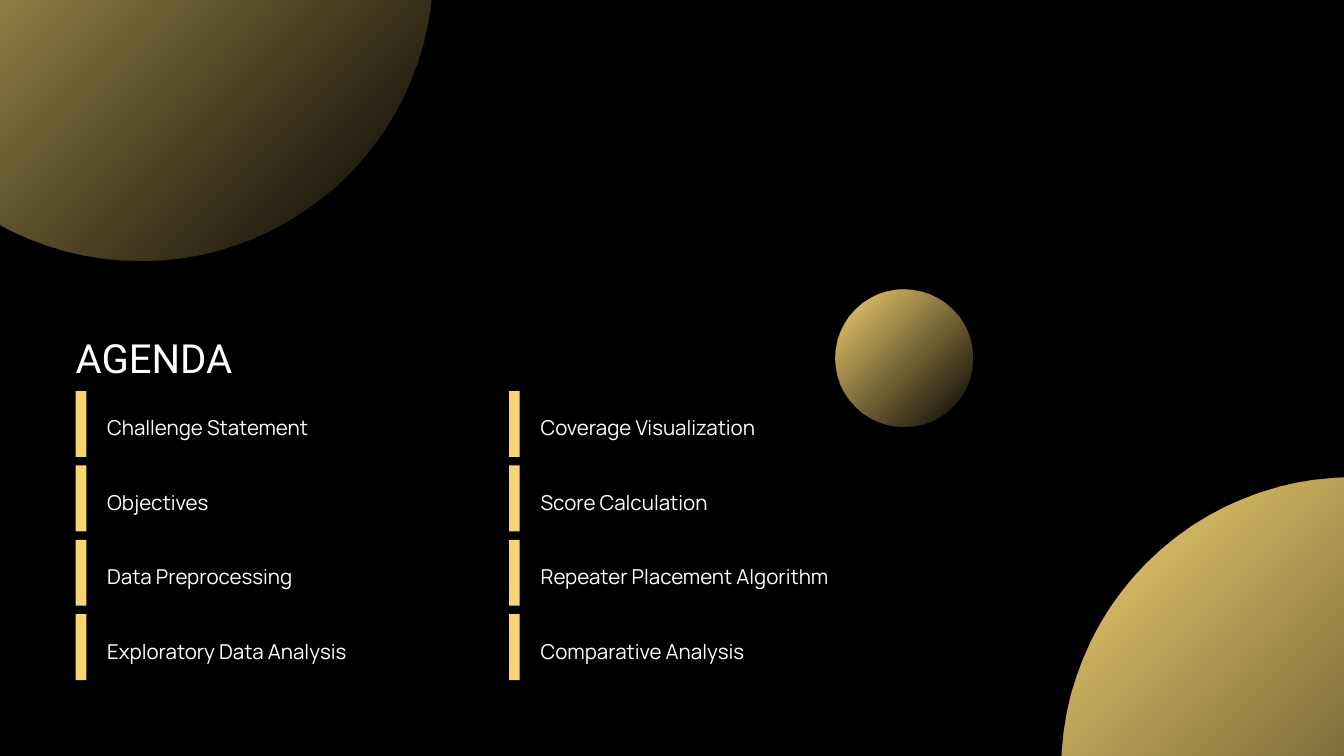
from lxml import etree
from pptx import Presentation
from pptx.dml.color import RGBColor
from pptx.enum.shapes import MSO_SHAPE
from pptx.enum.text import MSO_AUTO_SIZE
from pptx.oxml.ns import qn
from pptx.util import Inches, Pt

OVAL = MSO_SHAPE.OVAL
RECTANGLE = MSO_SHAPE.RECTANGLE
GROW = MSO_AUTO_SIZE.SHAPE_TO_FIT_TEXT

TITLE = "AGENDA"
COLUMNS = [
    ["Challenge Statement", "Objectives", "Data Preprocessing", "Exploratory Data Analysis"],
    ["Coverage Visualization", "Score Calculation", "Repeater Placement Algorithm", "Comparative Analysis"],
]
CIRCLES = [(-2.25, -4.8, 8.68), (15.79, 7.11, 8.68), (12.43, 4.31, 2.04)]

THEME = {
    "background": RGBColor.from_string("000000"),
    "panel": RGBColor.from_string("000000"),
    "panel_alpha": 22,
    "gold": RGBColor.from_string("F6D573"),
    "text": RGBColor.from_string("FFFFFF"),
    "title": {"font": "Roboto", "size": 43, "spacing": 46.4},
    "item": {"font": "Manrope", "size": 22, "spacing": 30.8},
}

LEFT, COLUMN_PITCH = 1.125, 6.45
TOP, LAST_TOP = 5.82, 9.14
ROW_PITCH = (LAST_TOP - TOP) / (len(COLUMNS[0]) - 1)
PANEL_WIDTH, BAR_WIDTH, ROW_HEIGHT = 6.15, 0.16, 0.98
TEXT_DX, TEXT_DY = 0.47, 0.3


def add_shape(slide, kind, *box):
    sp = slide.shapes.add_shape(kind, *map(Inches, box))
    sp.shadow.inherit = False
    sp.line.fill.background()
    return sp


def set_last_alpha(sp, percent):
    color = list(sp.element.spPr.iter(qn("a:srgbClr")))[-1]
    etree.SubElement(color, qn("a:alpha"), val=str(percent * 1000))


def add_block(slide, color, *box):
    sp = add_shape(slide, RECTANGLE, *box)
    sp.fill.solid()
    sp.fill.fore_color.rgb = color
    return sp


def add_text(slide, text, style, *box):
    tf = slide.shapes.add_textbox(*map(Inches, box)).text_frame
    tf.margin_left = tf.margin_top = tf.margin_right = tf.margin_bottom = 0
    tf.word_wrap = True
    tf.auto_size = GROW
    p = tf.paragraphs[0]
    p.text = text
    p.line_spacing = Pt(style["spacing"])
    p.font.name = style["font"]
    p.font.size = Pt(style["size"])
    p.font.color.rgb = THEME["text"]


def add_item(slide, text, left, top):
    panel = add_block(slide, THEME["panel"], left, top, PANEL_WIDTH, ROW_HEIGHT)
    set_last_alpha(panel, THEME["panel_alpha"])
    add_block(slide, THEME["gold"], left, top, BAR_WIDTH, ROW_HEIGHT)
    add_text(slide, text, THEME["item"], left + TEXT_DX, top + TEXT_DY, 5.21, 0.43)


def add_fading_circle(slide, left, top, diameter):
    sp = add_shape(slide, OVAL, left, top, diameter, diameter)
    sp.fill.gradient()
    sp.fill.gradient_angle = 315
    for stop, position in zip(sp.fill.gradient_stops, (0, 1)):
        stop.color.rgb = THEME["gold"]
        stop.position = position
    set_last_alpha(sp, 0)


def main():
    prs = Presentation()
    prs.slide_width, prs.slide_height = Inches(20), Inches(11.25)
    s = prs.slides.add_slide(prs.slide_layouts[6])
    s.background.fill.solid()
    s.background.fill.fore_color.rgb = THEME["background"]

    add_text(s, TITLE, THEME["title"], LEFT, 5.03, 2.96, 0.66)
    for column, items in enumerate(COLUMNS):
        for row, item in enumerate(items):
            add_item(s, item, LEFT + column * COLUMN_PITCH, TOP + row * ROW_PITCH)
    for circle in CIRCLES:
        add_fading_circle(s, *circle)

    prs.save("out.pptx")


if __name__ == "__main__":
    main()
